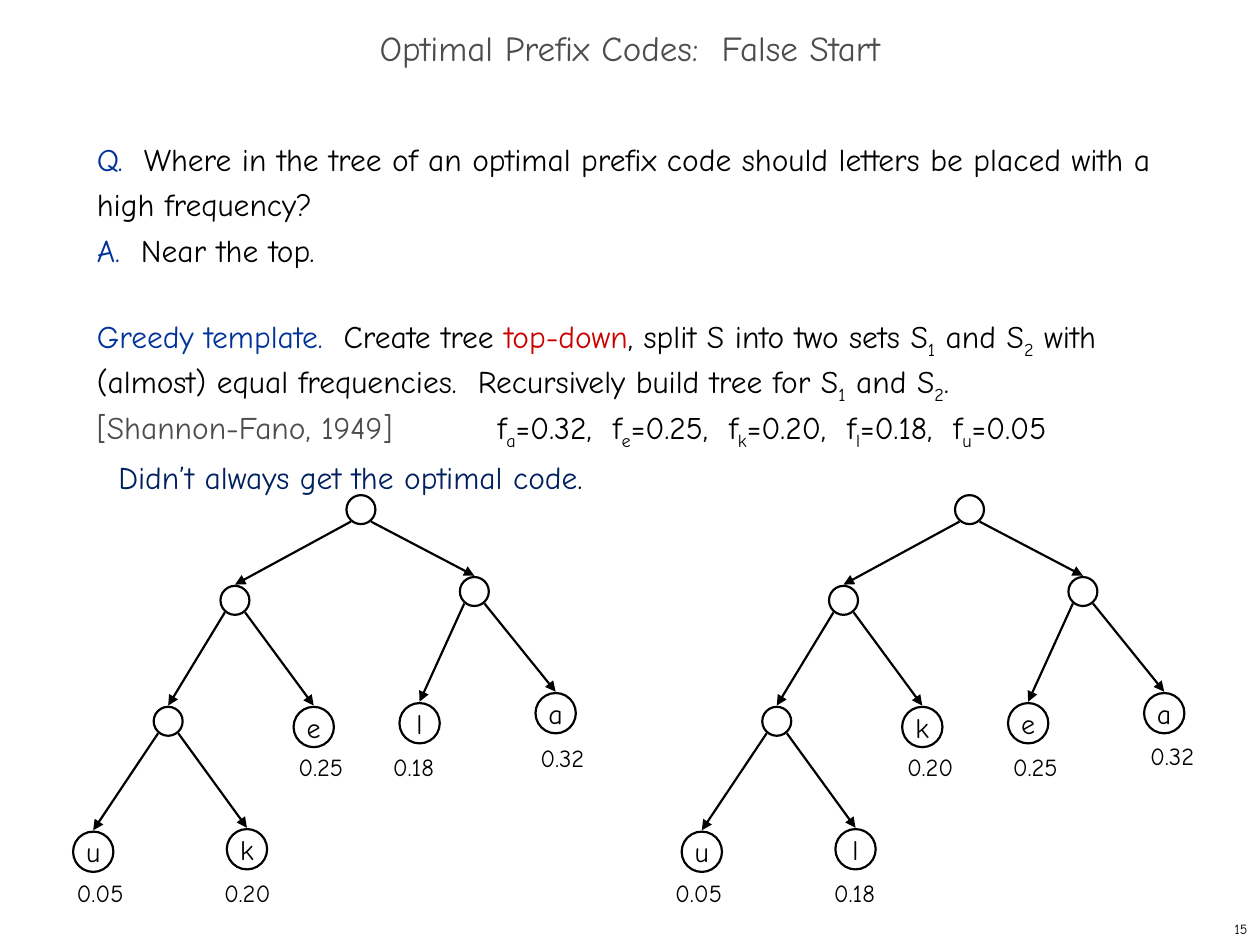
from dataclasses import dataclass
from typing import Any

from lxml import etree
from pptx import Presentation
from pptx.dml.color import RGBColor
from pptx.enum.shapes import MSO_CONNECTOR, MSO_SHAPE
from pptx.enum.text import MSO_ANCHOR, MSO_AUTO_SIZE, PP_ALIGN
from pptx.oxml.ns import qn
from pptx.util import Inches, Pt

OVAL = MSO_SHAPE.OVAL
STRAIGHT = MSO_CONNECTOR.STRAIGHT
LEFT, CENTER, RIGHT = PP_ALIGN.LEFT, PP_ALIGN.CENTER, PP_ALIGN.RIGHT
TOP, MIDDLE = MSO_ANCHOR.TOP, MSO_ANCHOR.MIDDLE
FIXED = MSO_AUTO_SIZE.NONE

FONT = "Comic Neue"
BLACK, GRAY, BLUE, NAVY, RED = "000000", "4D4D4D", "003399", "002060", "CC0000"
INNER_SIZE, LEAF_SIZE = 0.23, 0.32
LABEL_WIDTH, LABEL_HEIGHT = 0.65, 0.33
LINE_WIDTH = 1.25
TREE_SHIFT = 4.83
FREQUENCIES = {"a": "0.32", "e": "0.25", "k": "0.20", "l": "0.18", "u": "0.05"}


@dataclass(frozen=True)
class Span:
    """A stretch of text with one colour and position."""

    text: str
    color: str = BLACK
    subscript: bool = False


@dataclass(frozen=True)
class Node:
    """A tree node given by its left and top edge."""

    left: float
    top: float
    size: float = INNER_SIZE

    @property
    def center(self) -> float:
        """Return the horizontal centre."""
        return self.left + self.size / 2


@dataclass(frozen=True)
class Leaf:
    """A lettered leaf with the place of its frequency label."""

    letter: str
    label_left: float
    label_top: float


NODES = {
    "root": Node(2.75, 3.93),
    "left": Node(1.75, 4.65),
    "right": Node(3.65, 4.58),
    "low": Node(1.22, 5.61),
    "leaf1": Node(0.58, 6.6, LEAF_SIZE),
    "leaf2": Node(1.8, 6.58, LEAF_SIZE),
    "leaf3": Node(2.33, 5.61, LEAF_SIZE),
    "leaf4": Node(3.17, 5.58, LEAF_SIZE),
    "leaf5": Node(4.25, 5.5, LEAF_SIZE),
}
CHILDREN = {
    "root": ("left", "right"),
    "left": ("low", "leaf3"),
    "right": ("leaf4", "leaf5"),
    "low": ("leaf1", "leaf2"),
}
GREEDY_TREE = {
    "leaf1": Leaf("u", 0.51, 6.92),
    "leaf2": Leaf("k", 1.68, 6.92),
    "leaf3": Leaf("e", 2.27, 5.92),
    "leaf4": Leaf("l", 3.02, 5.92),
    "leaf5": Leaf("a", 4.19, 5.85),
}
OPTIMAL_TREE = {
    "leaf1": Leaf("u", 5.26, 6.92),
    "leaf2": Leaf("l", 6.52, 6.92),
    "leaf3": Leaf("k", 7.1, 5.92),
    "leaf4": Leaf("e", 7.94, 5.92),
    "leaf5": Leaf("a", 9.03, 5.83),
}


def rgb(value: str) -> RGBColor:
    """Turn a hex string into a colour."""
    return RGBColor.from_string(value)


def apply(target: Any, values: dict[str, Any]) -> None:
    """Set every attribute named in the values."""
    for name, value in values.items():
        setattr(target, name, value)


def add_spans(para: Any, spans: list[Span], size: float) -> None:
    """Append formatted spans to a paragraph."""
    for span in spans:
        run = para.add_run()
        run.text = span.text
        apply(run.font, {"name": FONT, "size": Pt(size)})
        run.font.color.rgb = rgb(span.color)
        if span.subscript:
            run.font._element.set("baseline", "-25000")


def add_text(page: Any, place: tuple[float, ...], spans: list[Span], size: float,
             para_format: dict[str, Any], anchor: Any) -> Any:
    """Add a wrapping text box with one paragraph and return its frame."""
    frame = page.shapes.add_textbox(*map(Inches, place)).text_frame
    apply(frame, {"word_wrap": True, "auto_size": FIXED, "vertical_anchor": anchor})
    apply(frame.paragraphs[0], para_format)
    add_spans(frame.paragraphs[0], spans, size)
    return frame


def indexed(text: str, index: str) -> list[Span]:
    """Return text followed by a subscript."""
    return [Span(text), Span(index, subscript=True)]


def add_body(page: Any) -> None:
    """Write the question, the answer and the greedy method."""
    sets = [*indexed("S", "1"), *indexed(" and S", "2")]
    values = [Span("[Shannon-Fano, 1949]\t", GRAY)]
    for position, (letter, value) in enumerate(FREQUENCIES.items()):
        values += indexed(",  f" if position else "f", letter) + [Span(f"={value}")]
    spacing = {"line_spacing": Pt(26), "space_before": Pt(0)}
    frame = add_text(
        page, (0.67, 1, 8.75, 5.92),
        [Span("Q.  ", BLUE), Span("Where in the tree of an optimal prefix code should "
                                  "letters be placed with a high frequency?")],
        18, spacing, TOP)
    paragraphs = [
        [Span("A.  ", BLUE), Span("Near the top.")],
        [Span("Greedy template.  ", BLUE), Span("Create tree "), Span("top-down", RED),
         Span(", split S into two sets "), *sets,
         Span(" with (almost) equal frequencies.  Recursively build tree for "),
         *sets, Span(".")],
        values,
        [Span("Didn’t always get the optimal code", NAVY), Span(".")],
    ]
    for spans in paragraphs:
        para = frame.add_paragraph()
        apply(para, spacing)
        add_spans(para, spans, 18)
    _, _, greedy, numbers, remark = frame.paragraphs
    greedy.space_before = Pt(26)
    tabs = etree.SubElement(numbers._p.get_or_add_pPr(), qn("a:tabLst"))
    etree.SubElement(tabs, qn("a:tab"), pos=str(Inches(3.18)), algn="l")
    remark._p.get_or_add_pPr().set("marL", str(Inches(0.17)))


def add_node(page: Any, node: Node, shift: float, letter: str = "") -> None:
    """Draw a circle, with a letter if it is a leaf."""
    place = (node.left + shift, node.top, node.size, node.size)
    circle = page.shapes.add_shape(OVAL, *map(Inches, place))
    circle.shadow.inherit = False
    circle.fill.background()
    circle.line.color.rgb = rgb(BLACK)
    circle.line.width = Pt(LINE_WIDTH)
    if letter:
        frame = circle.text_frame
        apply(frame, {"word_wrap": False, "vertical_anchor": MIDDLE})
        frame.paragraphs[0].alignment = CENTER
        add_spans(frame.paragraphs[0], [Span(letter)], 16)


def add_edge(page: Any, parent: Node, child: Node, shift: float) -> None:
    """Draw an arrow from the lower side of a parent to the top of a child."""
    side = 0.08 if child.center > parent.center else -0.08
    ends = (parent.center + side + shift, parent.top + 0.21,
            child.center + shift, child.top - 0.01)
    edge = page.shapes.add_connector(STRAIGHT, *map(Inches, ends))
    edge.line.color.rgb = rgb(BLACK)
    edge.line.width = Pt(LINE_WIDTH)
    etree.SubElement(edge.line._get_or_add_ln(), qn("a:tailEnd"), type="triangle")
    etree.SubElement(edge._element.spPr, qn("a:effectLst"))


def add_tree(page: Any, leaves: dict[str, Leaf], shift: float) -> None:
    """Draw a code tree with its letters and frequencies."""
    for parent, children in CHILDREN.items():
        for child in children:
            add_edge(page, NODES[parent], NODES[child], shift)
    for name, node in NODES.items():
        add_node(page, node, shift, leaves[name].letter if name in leaves else "")
    for leaf in leaves.values():
        add_text(page, (leaf.label_left, leaf.label_top, LABEL_WIDTH, LABEL_HEIGHT),
                 [Span(FREQUENCIES[leaf.letter])], 14, {"alignment": LEFT}, TOP)


def main() -> None:
    """Build the slide and save the deck."""
    deck = Presentation()
    apply(deck, {"slide_width": Inches(10), "slide_height": Inches(7.5)})
    page = deck.slides.add_slide(deck.slide_layouts[6])
    add_text(page, (7.92, 7.25, 2.08, 0.25), [Span("15")], 8,
             {"alignment": RIGHT}, MIDDLE)
    add_text(page, (0, 0.17, 10, 0.5), [Span("Optimal Prefix Codes:  False Start", GRAY)],
             20, {"alignment": CENTER, "line_spacing": 0.7}, MIDDLE)
    add_body(page)
    add_tree(page, GREEDY_TREE, 0)
    add_tree(page, OPTIMAL_TREE, TREE_SHIFT)
    deck.save("out.pptx")


if __name__ == "__main__":
    main()
